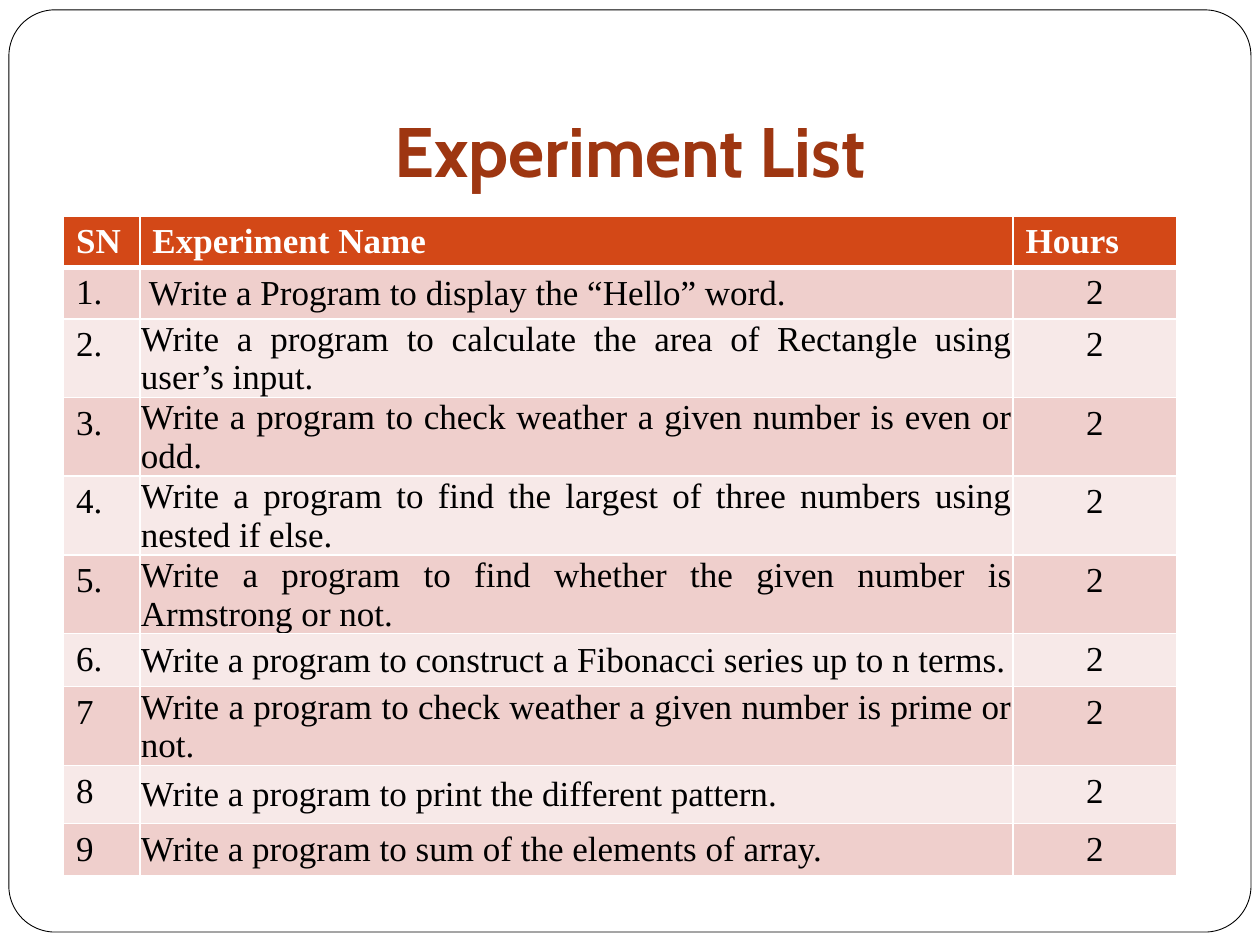
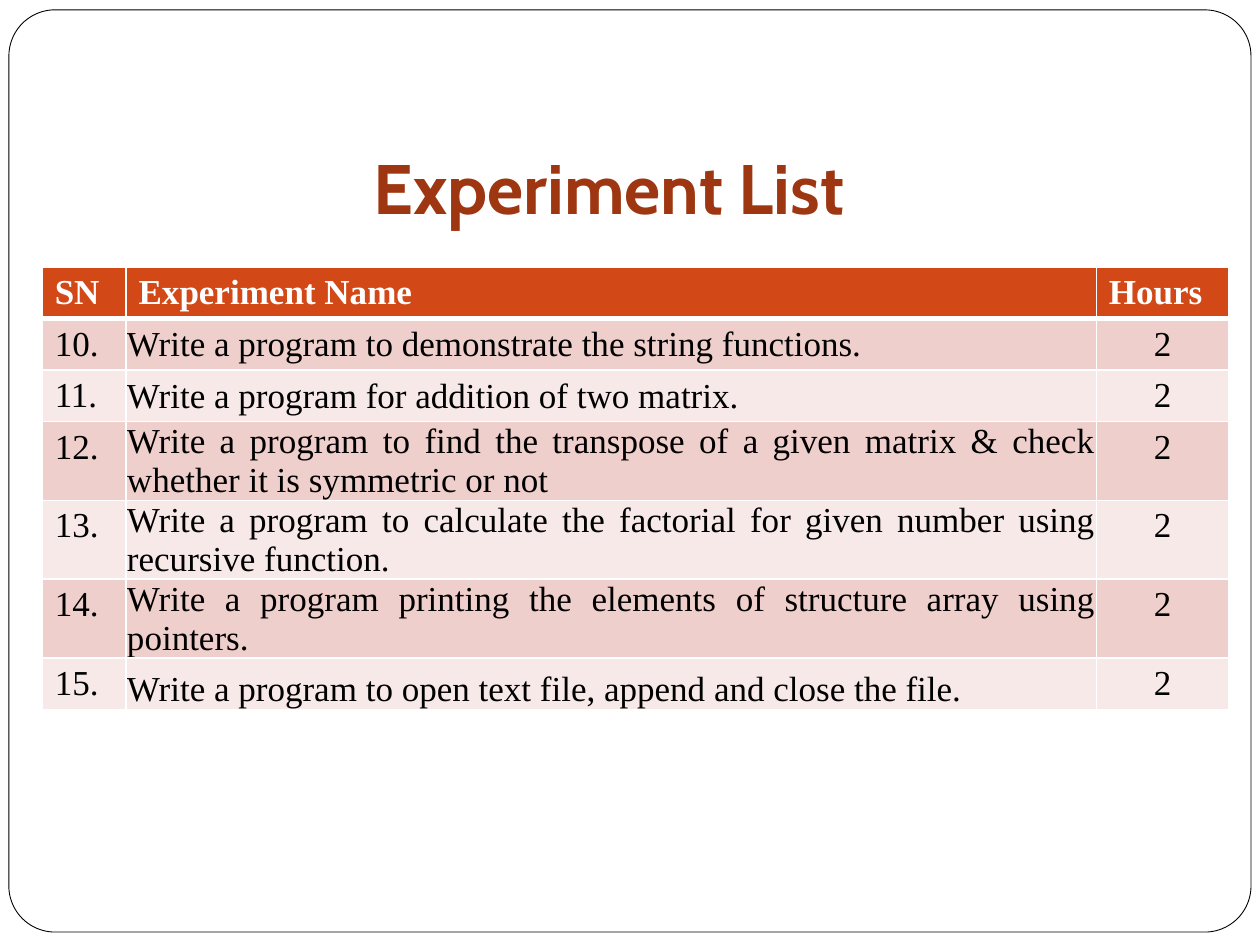
from dataclasses import dataclass

from lxml.etree import SubElement
from pptx import Presentation
from pptx.dml.color import RGBColor
from pptx.enum.shapes import MSO_SHAPE
from pptx.enum.text import MSO_ANCHOR, MSO_AUTO_SIZE, PP_ALIGN
from pptx.oxml.ns import qn
from pptx.util import Cm, Pt

COLORS = {
    "page": "FFFFFF",
    "frame": "000000",
    "title": "9E3611",
    "header": "D34817",
    "header_text": "FFFFFF",
    "body_text": "000000",
    "band_dark": "EFCFCC",
    "band_light": "F7E9E8",
    "border": "FFFFFF",
}
TITLE_FONT = "Cabin"
TABLE_FONT = "Times New Roman"
TITLE_TEXT = "Experiment List"
HEADINGS = ("SN", "Experiment Name", "Hours")
HOURS = "2"
TWO_LINES = 1.58


@dataclass
class Experiment:
    number: str
    name: str
    height: float = TWO_LINES
    anchor: MSO_ANCHOR = MSO_ANCHOR.MIDDLE
    alignment: PP_ALIGN = PP_ALIGN.JUSTIFY


@dataclass
class ExperimentSlide:
    title_left: float
    title_top: float
    table_left: float
    table_top: float
    column_widths: tuple[float, float, float]
    header_height: float
    experiments: list[Experiment]


SLIDES = [
    ExperimentSlide(1.9, 1.9, 1.28, 4.35, (1.54, 17.6, 3.3), 1.01, [
        Experiment("1.", " Write a Program to display the “Hello” word.", 1.01),
        Experiment("2.", "Write a program to calculate the area of Rectangle using user’s input."),
        Experiment("3.", "Write a program to check weather a given number is even or odd."),
        Experiment("4.", "Write a program to find the largest of three numbers using nested if else."),
        Experiment("5.", "Write a program to find whether the given number is Armstrong or not."),
        Experiment("6.", "Write a program to construct a Fibonacci series up to n terms.", 1.07),
        Experiment("7", "Write a program to check weather a given number is prime or not."),
        Experiment("8", "Write a program to print the different pattern.", 1.17),
        Experiment("9", "Write a program to sum of the elements of array.", 1.05),
    ]),
    ExperimentSlide(1.48, 2.64, 0.85, 5.38, (1.69, 19.56, 2.67), 1.04, [
        Experiment("10.", "Write a program to demonstrate the string functions.", 1.04),
        Experiment("11.", "Write a program for addition of two matrix.", 1.04),
        Experiment("12.", "Write a program to find the transpose of a given matrix & check whether it is symmetric or not"),
        Experiment("13.", "Write a program to calculate the factorial for given number using recursive function."),
        Experiment("14.", "Write a program printing the elements of structure array using pointers."),
        Experiment("15.", "Write a program to open text file, append and close the file.", 1.04,
                   MSO_ANCHOR.BOTTOM, PP_ALIGN.LEFT),
    ]),
]


def color(name: str) -> RGBColor:
    return RGBColor.from_string(COLORS[name])


def format_font(paragraph, font_name: str, size: float, color_name: str, bold: bool) -> None:
    for run in paragraph.runs:
        run.font.name = font_name
        run.font.size = Pt(size)
        run.font.bold = bold
        run.font.color.rgb = color(color_name)


def add_frame(slide) -> None:
    frame = slide.shapes.add_shape(
        MSO_SHAPE.ROUNDED_RECTANGLE, Cm(0.18), Cm(0.2), Cm(25.04), Cm(18.59))
    frame.adjustments[0] = 0.05
    frame.shadow.inherit = False
    frame.fill.solid()
    frame.fill.fore_color.rgb = color("page")
    frame.line.color.rgb = color("frame")
    frame.line.width = Pt(0.5)
    slide.shapes._spTree.insert(2, frame._element)


def set_title(slide, left: float, top: float) -> None:
    title = slide.shapes.title
    title.left, title.top, title.width, title.height = Cm(left), Cm(top), Cm(21.59), Cm(2.21)
    text_frame = title.text_frame
    text_frame.text = TITLE_TEXT
    text_frame.word_wrap = True
    text_frame.auto_size = MSO_AUTO_SIZE.NONE
    text_frame.vertical_anchor = MSO_ANCHOR.BOTTOM
    text_frame.margin_bottom = Cm(0.25)
    paragraph = text_frame.paragraphs[0]
    paragraph.alignment = PP_ALIGN.CENTER
    format_font(paragraph, TITLE_FONT, 40, "title", True)


def set_borders(cell, top_width: float, bottom_width: float) -> None:
    properties = cell._tc.get_or_add_tcPr()
    widths = {"lnL": 1, "lnR": 1, "lnT": top_width, "lnB": bottom_width}
    for position, (tag, width) in enumerate(widths.items()):
        line = SubElement(properties, qn(f"a:{tag}"), w=str(Pt(width)))
        fill = SubElement(line, qn("a:solidFill"))
        SubElement(fill, qn("a:srgbClr"), val=COLORS["border"])
        properties.insert(position, line)


def fill_cell(cell, text: str, fill_name: str, alignment: PP_ALIGN, header: bool) -> None:
    cell.text_frame.text = text
    cell.fill.solid()
    cell.fill.fore_color.rgb = color(fill_name)
    paragraph = cell.text_frame.paragraphs[0]
    paragraph.alignment = alignment
    format_font(paragraph, TABLE_FONT, 20, "header_text" if header else "body_text", header)


def add_experiment_table(slide, content: ExperimentSlide) -> None:
    heights = [content.header_height] + [experiment.height for experiment in content.experiments]
    table = slide.shapes.add_table(
        len(heights), len(HEADINGS), Cm(content.table_left), Cm(content.table_top),
        Cm(sum(content.column_widths)), Cm(sum(heights))).table
    for column, width in zip(table.columns, content.column_widths):
        column.width = Cm(width)
    for row, height in zip(table.rows, heights):
        row.height = Cm(height)

    for cell, heading in zip(table.rows[0].cells, HEADINGS):
        fill_cell(cell, heading, "header", PP_ALIGN.LEFT, True)
        set_borders(cell, 1, 3)

    for index, experiment in enumerate(content.experiments, start=1):
        band = "band_dark" if index % 2 else "band_light"
        cells = table.rows[index].cells
        texts = (experiment.number, experiment.name, HOURS)
        alignments = (PP_ALIGN.LEFT, experiment.alignment, PP_ALIGN.CENTER)
        for cell, text, alignment in zip(cells, texts, alignments):
            fill_cell(cell, text, band, alignment, False)
            set_borders(cell, 3 if index == 1 else 1, 1)
        name_cell = cells[1]
        name_cell.vertical_anchor = experiment.anchor
        name_cell.margin_left = name_cell.margin_right = name_cell.margin_top = Cm(0.02)
        name_cell.margin_bottom = Cm(0)


def main() -> None:
    presentation = Presentation()
    presentation.slide_width = Cm(25.4)
    presentation.slide_height = Cm(19.05)
    for content in SLIDES:
        slide = presentation.slides.add_slide(presentation.slide_layouts[5])
        add_frame(slide)
        set_title(slide, content.title_left, content.title_top)
        add_experiment_table(slide, content)
    presentation.save("out.pptx")


if __name__ == "__main__":
    main()
